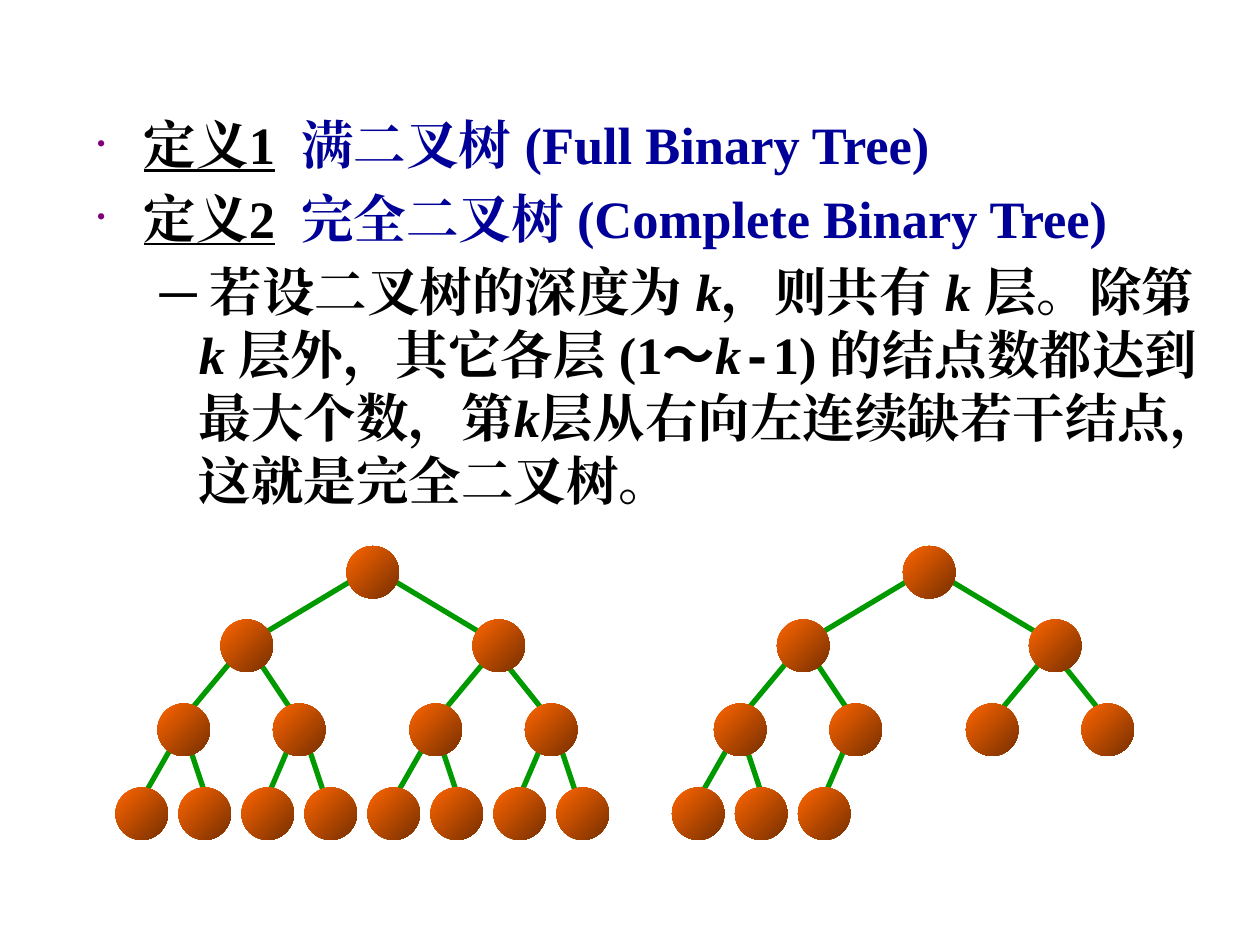
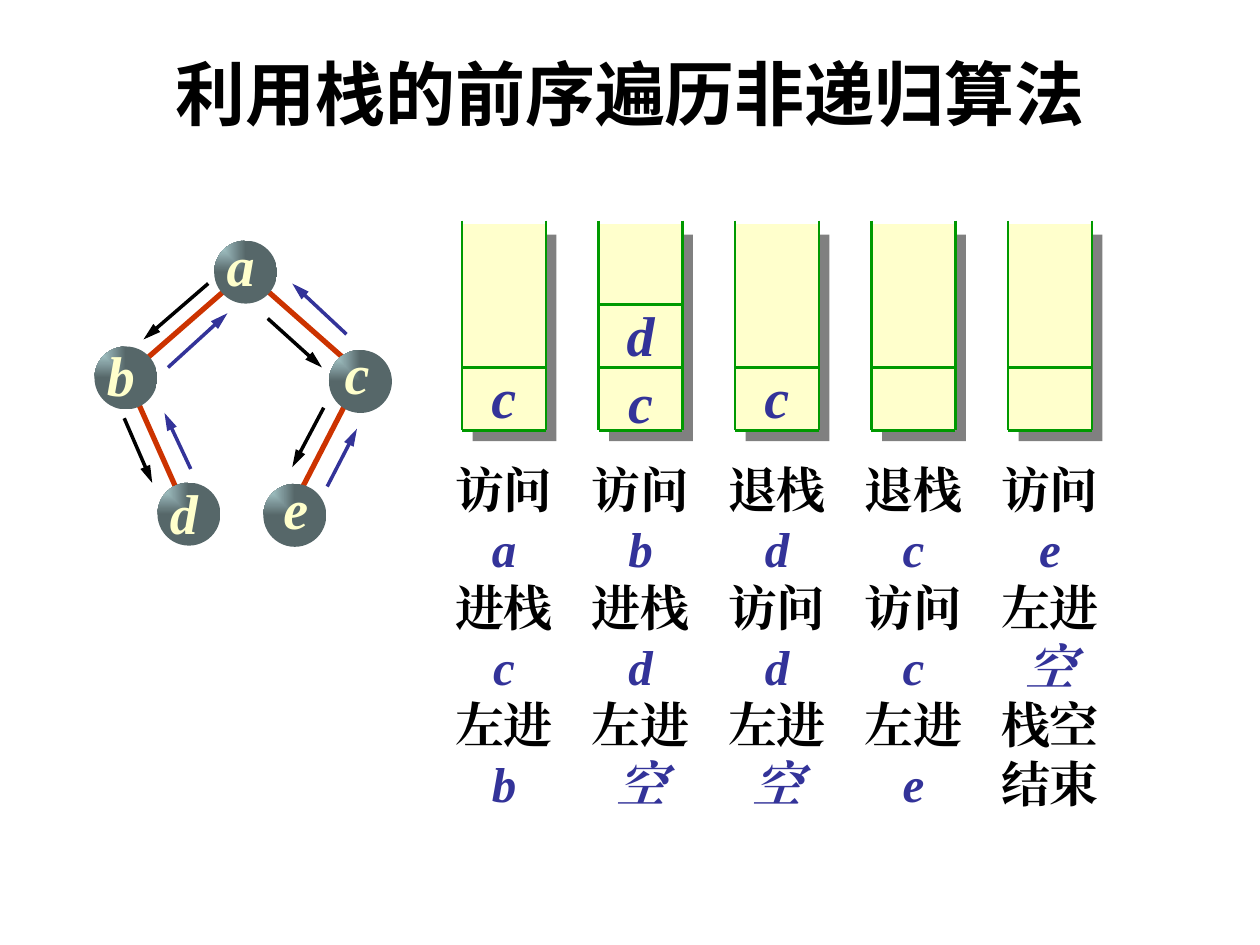
import pptx
import pptx.dml.color
import pptx.enum.shapes
import pptx.enum.text
import pptx.oxml
import pptx.oxml.ns
import pptx.util
from lxml import etree

Pt = pptx.util.Pt
ALIGN = pptx.enum.text.PP_ALIGN
ANCHOR = pptx.enum.text.MSO_ANCHOR
OVAL = pptx.enum.shapes.MSO_SHAPE.OVAL
RECTANGLE = pptx.enum.shapes.MSO_SHAPE.RECTANGLE
STRAIGHT = pptx.enum.shapes.MSO_CONNECTOR.STRAIGHT

SERIF = "Times New Roman"
BLACK, NAVY, BLUE, GREEN = "000000", "000099", "333399", "009900"
RED, CREAM, PURPLE, GRAY = "CC3300", "FFFFCC", "800080", "808080"
ORANGE_BALL = ("FF6600", "762F00")
SLATE_BALL = ("BBE0E3", "566769")

# Slide 1: runs of each paragraph as (text, format)
K = ("k", {"italic": True})
GAP = (" ", {"spacing": 7.5})
DEFINITIONS = [
    [("定义1", {"underline": True}), GAP,
     ("满二叉树 (Full Binary Tree)", {"color": NAVY})],
    [("定义2", {"underline": True}), GAP,
     ("完全二叉树 (Complete Binary Tree)", {"color": NAVY})],
]
EXPLANATION = [
    ("─ 若设二叉树的深度为 ", {}), K, ("，则共有 ", {}), K, (" 层。除第 ", {}), K,
    (" 层外，其它各层 (1", {}), ("～", {"font": "Noto Sans CJK SC"}), K,
    ("-", {"font": "Courier New"}), ("1) 的结点数都达到最大个数，第", {}), K,
    ("层从右向左连续缺若干结点，这就是完全二叉树。", {}),
]
# Balls in level order, level by level: (top, lefts)
LEVELS = [
    (312, [198]),
    (354, [126, 270]),
    (402, [90, 156, 234, 300]),
    (450, [66 + 36 * i for i in range(8)]),
]
# Edge to each ball after the root, in the same order
BRANCHES = [
    (204, 330, 144, 366), (222, 330, 282, 366),
    (132, 378, 102, 414), (144, 372, 168, 408),
    (282, 372, 252, 408), (288, 378, 312, 408),
    (102, 420, 78, 462), (108, 426, 120, 462),
    (168, 420, 150, 462), (174, 420, 186, 456),
    (246, 420, 222, 462), (252, 426, 264, 462),
    (312, 420, 294, 462), (318, 420, 330, 456),
]
TREES = [(0, 15), (318, 10)]  # (shift to the right, number of balls)
BALL = 30

# Slide 2
TITLE = "利用栈的前序遍历非递归算法"
# (letter, ball left, top, letter left, top)
NODES = [
    ("a", 122.4, 137.5, 122.4, 128.2),
    ("b", 54, 198, 54, 191.5),
    ("c", 188, 200, 189, 190),
    ("d", 90, 275.8, 90, 270),
    ("e", 150.5, 276.5, 154, 267),
]
EDGES = [(202, 222, 170, 284), (78, 228, 102, 282),
         (148, 162, 199, 207), (133, 162, 78, 210)]
DOWN_ARROWS = [(119, 162, 82, 194), (71, 239, 87, 276),
               (153, 182, 184, 210), (185, 233, 167, 267)]
UP_ARROWS = [(109, 268, 94, 236), (96, 210, 130, 179),
             (187, 278, 204, 245), (198, 191, 167, 162)]
NODE = 36
# (letters in the stack from the top, steps below it)
STACKS = [
    ("c", ["访问", "a", "进栈", "c", "左进", "b"]),
    ("dc", ["访问", "b", "进栈", "d", "左进", "空"]),
    ("c", ["退栈", "d", "访问", "d", "左进", "空"]),
    ("", ["退栈", "c", "访问", "c", "左进", "e"]),
    ("", ["访问", "e", "左进", "空", "栈空", "结束"]),
]
STACK_LEFT, STACK_STEP, STACK_W = 264, 78, 48
STACK_TOP, STACK_BOTTOM, CELL = 126, 246, 36


def rgb(code):
    return pptx.dml.color.RGBColor.from_string(code)


def sub(parent, tag, **attrs):
    """Append a DrawingML child element."""
    el = etree.SubElement(parent, pptx.oxml.ns.qn("a:" + tag))
    for name, value in attrs.items():
        el.set(name, str(value))
    return el


def add_text(p, text, size=30, color=BLACK, font=SERIF, bold=True,
             italic=False, underline=False, spacing=0):
    """Add a run and give its paragraph the deck's line pitch."""
    p.line_spacing = Pt(size * 1.2)
    r = p.add_run()
    r.text = text
    r.font.size = Pt(size)
    r.font.bold, r.font.italic, r.font.underline = bold, italic, underline
    r.font.color.rgb = rgb(color)
    r.font.name = font
    rPr = r.font._element
    rPr.set("lang", "zh-CN")
    if spacing:
        rPr.set("spc", str(int(spacing * 100)))
    sub(rPr, "ea", typeface=font)


def place(sp, x, y, w, h):
    sp.left, sp.top, sp.width, sp.height = Pt(x), Pt(y), Pt(w), Pt(h)


def add_column(shapes, x, y, w, h, lines):
    """Add a centred text box with one paragraph per (text, format)."""
    tf = shapes.add_textbox(Pt(x), Pt(y), Pt(w), Pt(h)).text_frame
    tf.word_wrap = False
    tf.vertical_anchor = ANCHOR.MIDDLE
    for i, (text, fmt) in enumerate(lines):
        p = tf.add_paragraph() if i else tf.paragraphs[0]
        p.alignment = ALIGN.CENTER
        add_text(p, text, **fmt)


def add_line(shapes, ends, color, width, arrow=False):
    sp = shapes.add_connector(STRAIGHT, *[Pt(v) for v in ends])
    sp.line.color.rgb = rgb(color)
    sp.line.width = Pt(width)
    if arrow:
        sub(sp.line._get_or_add_ln(), "tailEnd", type="triangle", w="med", len="lg")
    sub(sp._element.spPr, "effectLst")


def add_ball(shapes, x, y, size, colors):
    sp = shapes.add_shape(OVAL, Pt(x), Pt(y), Pt(size), Pt(size))
    sp.shadow.inherit = False
    sp.line.fill.background()
    sp.fill.gradient()
    sp.fill.gradient_angle = 315
    for stop, color in zip(sp.fill.gradient_stops, colors):
        stop.color.rgb = rgb(color)
    return sp


def glow_from_corner(sp):
    """Turn a linear gradient into one that spreads from the top left."""
    grad = sp._element.spPr.find(pptx.oxml.ns.qn("a:gradFill"))
    lin = grad.find(pptx.oxml.ns.qn("a:lin"))
    spread = sub(grad, "path", path="rect")
    sub(spread, "fillToRect", r=100000, b=100000)
    grad.replace(lin, spread)


def set_bullet(p, char=None):
    pPr = p._p.get_or_add_pPr()
    left, hang = (27, -27) if char else (58.5, -22.5)
    pPr.set("marL", str(Pt(left)))
    pPr.set("indent", str(Pt(hang)))
    if not char:
        sub(pPr, "buNone")
        return
    sub(sub(pPr, "buClr"), "srgbClr", val=PURPLE)
    sub(pPr, "buSzPct", val=50000)
    sub(pPr, "buFont", typeface=SERIF)
    sub(pPr, "buChar", char=char)


def add_definitions(tf):
    tf.auto_size = pptx.enum.text.MSO_AUTO_SIZE.NONE
    for i, runs in enumerate(DEFINITIONS + [EXPLANATION]):
        p = tf.add_paragraph() if i else tf.paragraphs[0]
        is_definition = i < len(DEFINITIONS)
        p.level = 0 if is_definition else 1
        set_bullet(p, "•" if is_definition else None)
        p.space_before = Pt(6 if i else 0)
        for text, fmt in runs:
            add_text(p, text, **fmt)


def add_tree(shapes, shift, count):
    for x1, y1, x2, y2 in BRANCHES[:count - 1]:
        add_line(shapes, (x1 + shift, y1, x2 + shift, y2), GREEN, 3)
    balls = [(x, top) for top, lefts in LEVELS for x in lefts]
    for x, y in balls[:count]:
        add_ball(shapes, x + shift, y, BALL, ORANGE_BALL)


def add_traversal(shapes):
    for ends in EDGES:
        add_line(shapes, ends, RED, 3)
    for letter, x, y, text_x, text_y in NODES:
        glow_from_corner(add_ball(shapes, x, y, NODE, SLATE_BALL))
        fmt = {"size": 32, "color": CREAM, "italic": True}
        add_column(shapes, text_x, text_y, 30, 45, [(letter, fmt)])
    for arrows, color in ((DOWN_ARROWS, BLACK), (UP_ARROWS, BLUE)):
        for ends in arrows:
            add_line(shapes, ends, color, 2, arrow=True)


def add_stack(shapes, x, letters, steps):
    sp = shapes.add_shape(RECTANGLE, Pt(x), Pt(STACK_TOP + 2), Pt(STACK_W),
                          Pt(STACK_BOTTOM - STACK_TOP - 2))
    sp.fill.solid()
    sp.fill.fore_color.rgb = rgb(CREAM)
    sp.line.fill.background()
    shadow = sub(sub(sp._element.spPr, "effectLst"), "outerShdw",
                 dist=Pt(8.5), dir=2700000, algn="ctr", rotWithShape=0)
    sub(shadow, "srgbClr", val=GRAY)

    right = x + STACK_W
    for side in (x, right):
        add_line(shapes, (side, STACK_TOP, side, STACK_BOTTOM), GREEN, 1.5)
    for level in range(max(len(letters), 1) + 1):
        y = STACK_BOTTOM - level * CELL
        add_line(shapes, (x, y, right, y), GREEN, 1.5)

    variable = {"color": BLUE, "italic": True}
    n = len(letters)
    if n:
        add_column(shapes, x + 9, 240 - CELL * n, 30, 39 * n + 6,
                   [(c, {"size": 32, **variable}) for c in letters])
    add_column(shapes, x - 11.5, 259, 71, 209,
               [(t, {"size": 28, **(variable if len(t) == 1 else {})})
                for t in steps])


def main():
    prs = pptx.Presentation()
    prs.slide_width, prs.slide_height = Pt(720), Pt(540)

    s = prs.slides.add_slide(prs.slide_layouts[1])
    title, body = s.placeholders
    title._element.getparent().remove(title._element)
    place(body, 48, 60.5, 648, 306)
    add_definitions(body.text_frame)
    for shift, count in TREES:
        add_tree(s.shapes, shift, count)

    s = prs.slides.add_slide(prs.slide_layouts[5])
    title = s.shapes.title
    place(title, 36, 21.6, 648, 62.6)
    title.text_frame.vertical_anchor = ANCHOR.MIDDLE
    p = title.text_frame.paragraphs[0]
    p.alignment = ALIGN.CENTER
    add_text(p, TITLE, size=40, font="Arial")
    add_traversal(s.shapes.add_group_shape().shapes)
    for i, (letters, steps) in enumerate(STACKS):
        add_stack(s.shapes, STACK_LEFT + i * STACK_STEP, letters, steps)

    prs.save("out.pptx")


if __name__ == "__main__":
    main()
